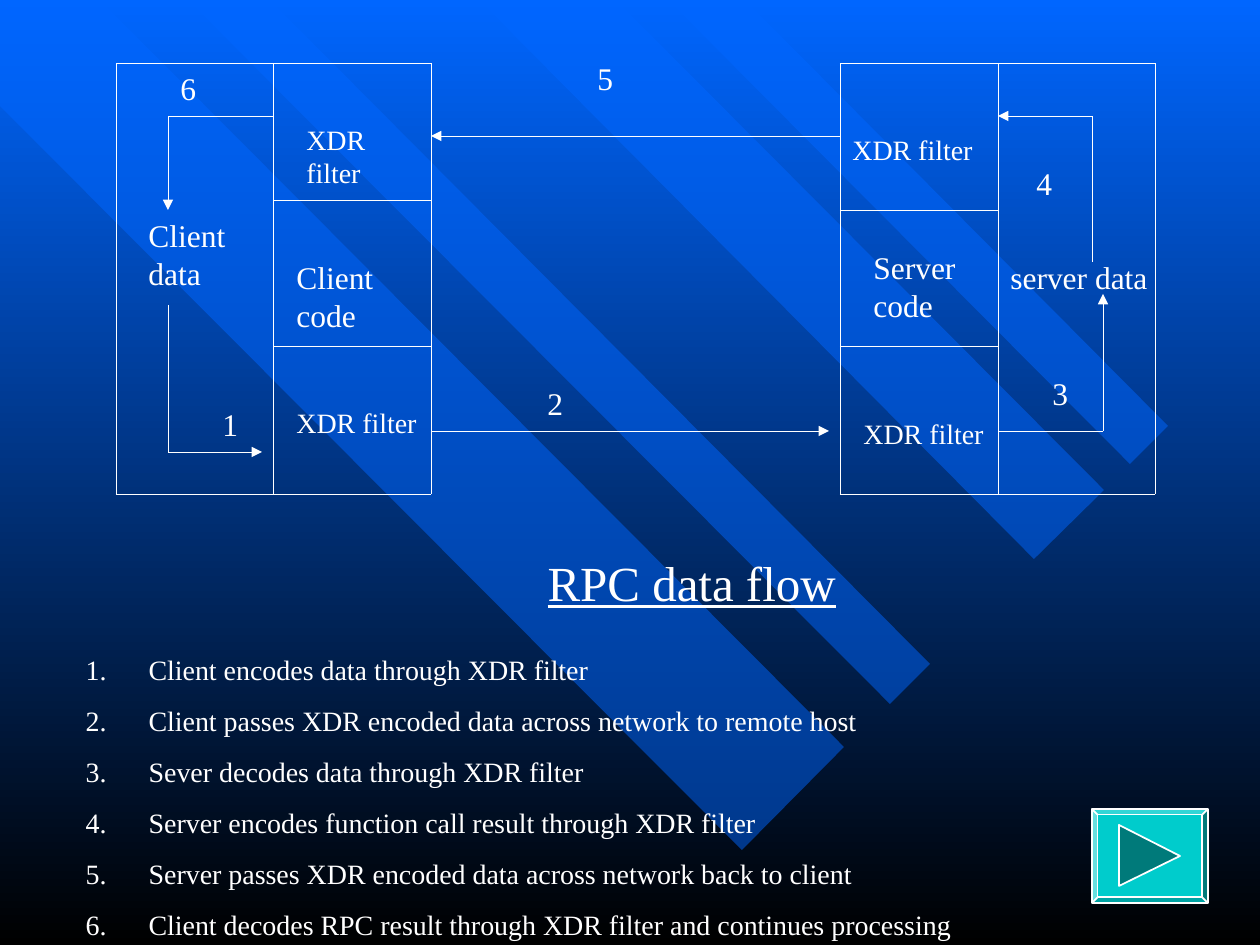
from dataclasses import dataclass

from lxml.etree import SubElement
from pptx import Presentation
from pptx.dml.color import RGBColor
from pptx.enum.shapes import MSO_CONNECTOR, MSO_SHAPE
from pptx.enum.text import MSO_ANCHOR, MSO_AUTO_SIZE, PP_ALIGN
from pptx.oxml.ns import qn
from pptx.util import Emu, Pt

UNIT = 914400 / 126
FONT = "Times New Roman"
HEX = {"blue": "0066FF", "black": "000000", "white": "FFFFFF",
       "teal": "00CCCC", "dark": "007A7A"}
TOP, BASE = 63, 494


@dataclass
class Frame:
    cols: tuple
    core: tuple
    rows: tuple


@dataclass
class Label:
    text: str
    x: int
    y: int
    w: int
    h: int = 50
    size: int = 18
    indent: int = 0


@dataclass
class Flow:
    x1: int
    y1: int
    x2: int
    y2: int
    head: bool = True


BANDS = [
    [(844, 747), (100, 0), (0, 0), (0, 106), (742, 850)],
    [(270, 0), (930, 664), (890, 704), (188, 0)],
    [(616, 0), (1104, 490), (1034, 559), (479, 0)],
    [(668, 0), (1130, 464), (1168, 426), (745, 0)],
]
FRAMES = [
    Frame((116, 273, 431), (273, 431), (200, 346)),
    Frame((840, 998, 1155), (840, 998), (210, 346)),
]
FLOWS = [
    Flow(168, 305, 168, 452, False), Flow(168, 452, 262, 452),
    Flow(431, 431, 829, 431),
    Flow(998, 431, 1103, 431, False), Flow(1103, 431, 1103, 294),
    Flow(1092, 262, 1092, 116, False), Flow(1092, 116, 998, 116),
    Flow(840, 136, 431, 136),
    Flow(273, 116, 168, 116, False), Flow(168, 116, 168, 210),
]
LABELS = [
    Label("Client data", 136, 210, 105, 88),
    Label("server data", 998, 252, 165),
    Label("XDR filter", 294, 116, 126, 81, 16),
    Label("XDR filter", 851, 410, 148, 47, 16),
    Label("XDR filter", 840, 126, 148, 47, 16),
    Label("XDR filter", 284, 399, 148, 47, 16),
    Label("Client code", 284, 252, 116, 88),
    Label("Server code", 861, 242, 116, 88),
    Label("1", 210, 399, 53),
    Label("2", 535, 378, 84),
    Label("3", 1008, 368, 84, indent=32),
    Label("4", 1008, 158, 84, indent=16),
    Label("5", 577, 53, 84, indent=8),
    Label("6", 136, 63, 84, indent=32),
]
STEPS = [
    "Client encodes data through XDR filter",
    "Client passes XDR encoded data across network to remote host",
    "Sever decodes data through XDR filter",
    "Server encodes function call result through XDR filter",
    "Server passes XDR encoded data across network back to client",
    "Client decodes RPC result through XDR filter and continues processing",
]


def px(num: int) -> Emu:
    return Emu(round(num * UNIT))


def tint(name: str) -> RGBColor:
    return RGBColor.from_string(HEX[name])


def place(shape, x: int, y: int, w: int, h: int) -> None:
    shape.left, shape.top, shape.width, shape.height = map(px, (x, y, w, h))


def style(frame, size: int) -> None:
    """Apply the shared look to all text in a frame."""
    frame.word_wrap = True
    frame.auto_size = MSO_AUTO_SIZE.NONE
    frame.vertical_anchor = MSO_ANCHOR.TOP
    for para in frame.paragraphs:
        para.alignment = PP_ALIGN.LEFT
        for run in para.runs:
            run.font.name = FONT
            run.font.size = Pt(size)
            run.font.color.rgb = tint("white")


def draw_line(shapes, flow: Flow, width: float) -> None:
    ends = map(px, (flow.x1, flow.y1, flow.x2, flow.y2))
    line = shapes.add_connector(MSO_CONNECTOR.STRAIGHT, *ends)
    line.line.color.rgb = tint("white")
    line.line.width = Pt(width)
    props = line.element.spPr
    if flow.head:
        SubElement(props.find(qn("a:ln")), qn("a:tailEnd"), type="triangle")
    SubElement(props, qn("a:effectLst"))


def draw_frame(shapes, frame: Frame) -> None:
    left, right = frame.cols[0], frame.cols[-1]
    lines = [Flow(x, TOP, x, BASE, False) for x in frame.cols]
    lines += [Flow(left, y, right, y, False) for y in (TOP, BASE)]
    lines += [Flow(frame.core[0], y, frame.core[1], y, False)
              for y in frame.rows]
    for line in lines:
        draw_line(shapes, line, 0.5)


def draw_label(shapes, label: Label) -> None:
    box = shapes.add_textbox(*map(px, (label.x, label.y, label.w, label.h)))
    box.text_frame.text = label.text
    style(box.text_frame, label.size)
    if label.indent:
        props = box.text_frame.paragraphs[0]._p.get_or_add_pPr()
        props.set("marL", str(px(label.indent)))


def draw_shape(shapes, points: list, color: str):
    """Draw a closed, filled outline without a line."""
    path = shapes.build_freeform(*points[0], scale=UNIT)
    path.add_line_segments(points[1:], close=True)
    shape = path.convert_to_shape()
    shape.shadow.inherit = False
    shape.fill.solid()
    shape.fill.fore_color.rgb = tint(color)
    shape.line.fill.background()
    return shape


def draw_band(shapes, points: list) -> None:
    band = draw_shape(shapes, points, "blue")
    color = band.element.spPr.find(qn("a:solidFill"))[0]
    SubElement(color, qn("a:alpha"), val="50000")


def fill_steps(body) -> None:
    place(body, 73, 646, 1187, 302)
    frame = body.text_frame
    frame.text = "\n".join(STEPS)
    style(frame, 16)
    for para in frame.paragraphs:
        para.space_before = Pt(10)
        props = para._p.get_or_add_pPr()
        props.set("marL", str(px(63)))
        props.set("indent", str(-px(63)))
        color = SubElement(props, qn("a:buClr"))
        SubElement(color, qn("a:srgbClr"), val=HEX["white"])
        SubElement(props, qn("a:buFont"), typeface=FONT)
        SubElement(props, qn("a:buAutoNum"), type="arabicPeriod")


def fill_title(title) -> None:
    place(title, 535, 546, 420, 72)
    title.text_frame.text = "RPC data flow"
    style(title.text_frame, 28)
    title.text_frame.paragraphs[0].runs[0].font.underline = True


def draw_button(shapes) -> None:
    box = map(px, (1092, 809, 116, 94))
    button = shapes.add_shape(MSO_SHAPE.BEVEL, *box)
    button.adjustments[0] = 0.06
    button.shadow.inherit = False
    button.fill.solid()
    button.fill.fore_color.rgb = tint("teal")
    arrow = draw_shape(shapes, [(1119, 825), (1180, 856), (1119, 886)], "dark")
    for part in (button, arrow):
        part.line.color.rgb = tint("white")
        part.line.width = Pt(1)


def main() -> None:
    deck = Presentation()
    deck.slide_width, deck.slide_height = px(1260), px(945)
    slide = deck.slides.add_slide(deck.slide_layouts[1])
    shapes = slide.shapes
    back = slide.background.fill
    back.gradient()
    back.gradient_angle = 270
    for stop, name in zip(back.gradient_stops, ("blue", "black")):
        stop.color.rgb = tint(name)
    for band in BANDS:
        draw_band(shapes, band)
    for frame in FRAMES:
        draw_frame(shapes, frame)
    for flow in FLOWS:
        draw_line(shapes, flow, 0.25)
    for label in LABELS:
        draw_label(shapes, label)
    title, body = shapes.title, slide.placeholders[1]
    fill_steps(body)
    fill_title(title)
    for item in (body, title):  # bring the text in front of the bands
        item.element.getparent().append(item.element)
    draw_button(shapes)
    deck.save("out.pptx")


if __name__ == "__main__":
    main()
